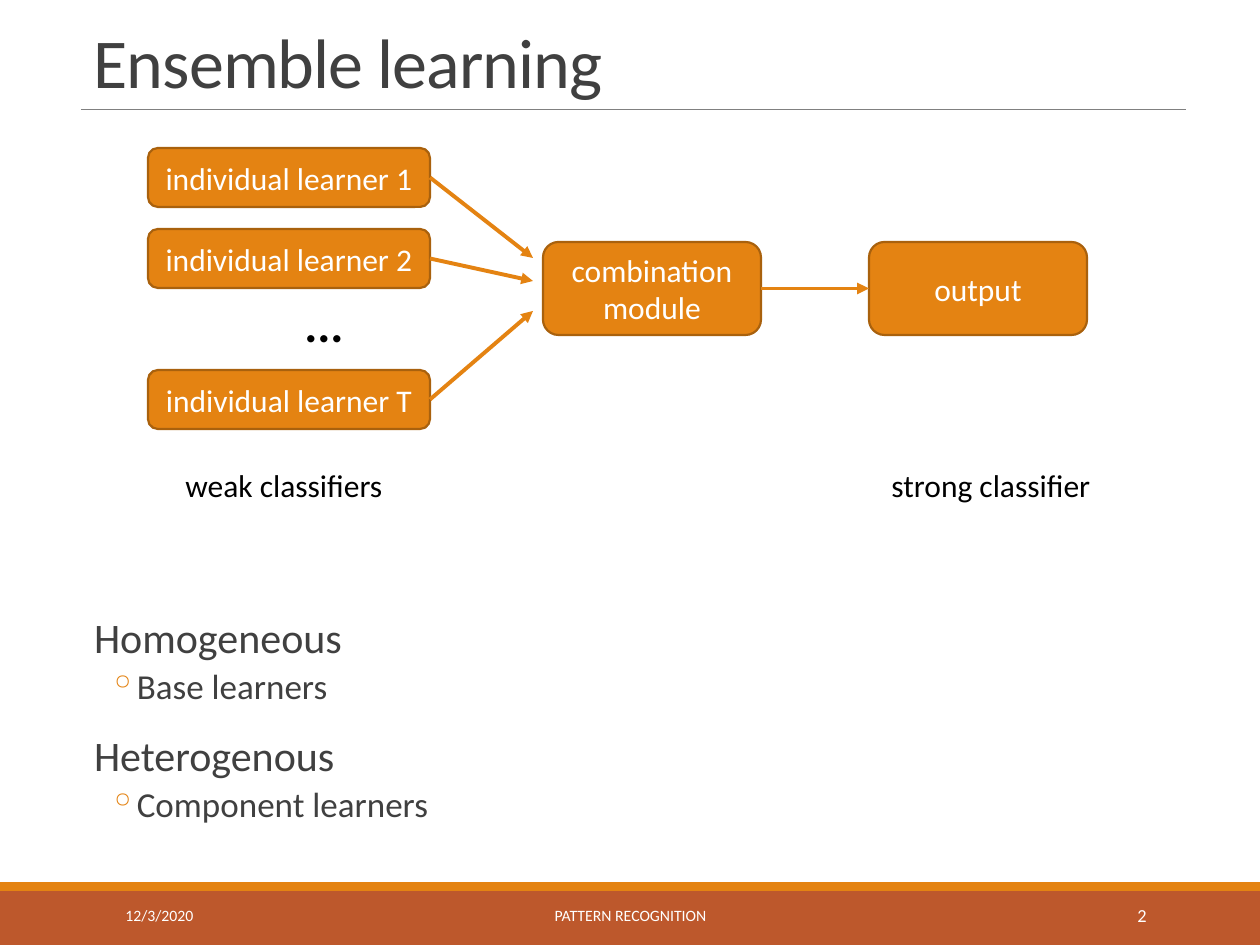
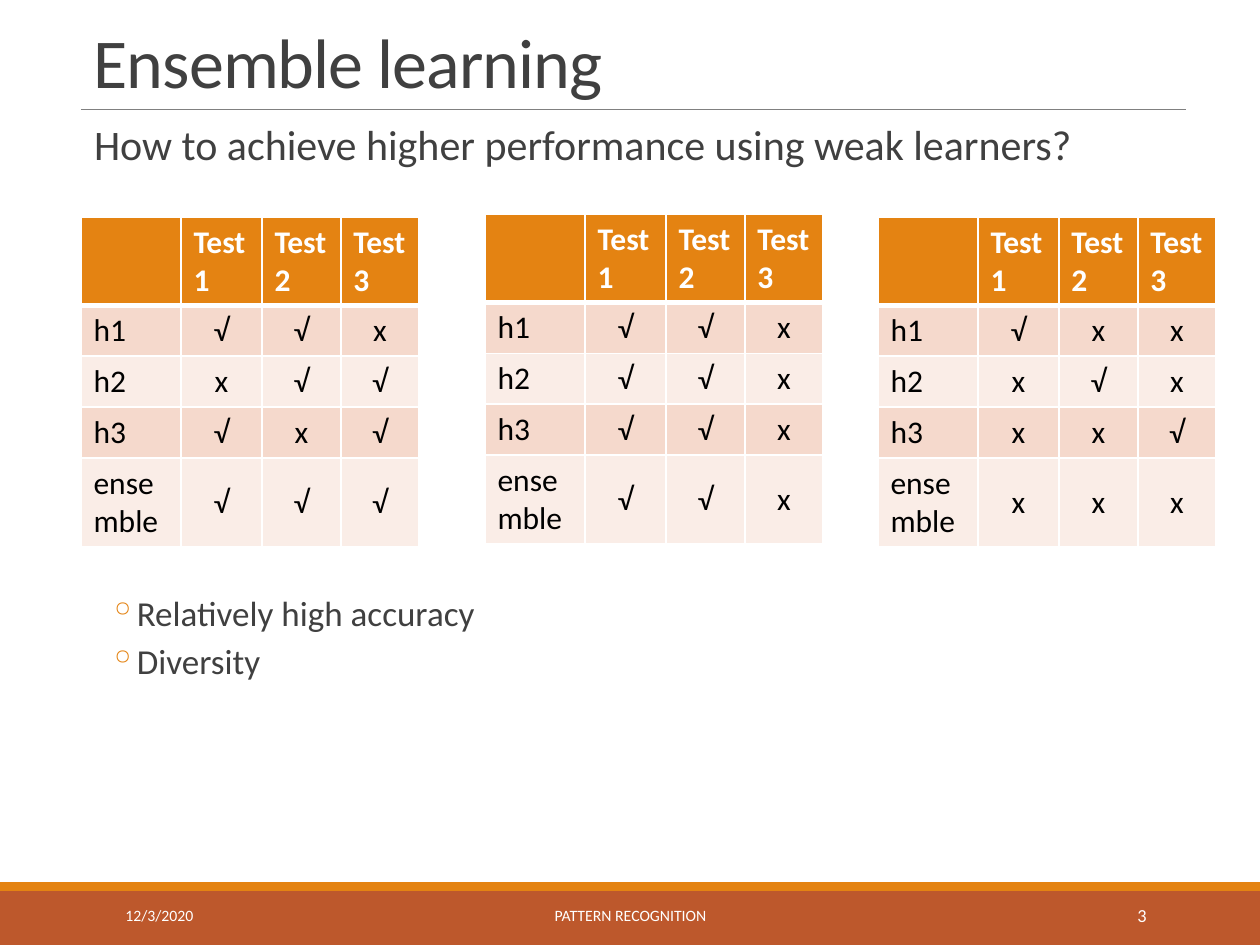
import pptx
import pptx.util
import pptx.dml.color
import pptx.enum.shapes
import pptx.enum.text
import pptx.oxml.ns
from lxml import etree

# Shared look
PIXELS_PER_INCH = 126
FONT = "Calibri"
ORANGE, RUST, DARK_ORANGE = "E48312", "BD582C", "A9610D"
INK, GRAY, BLACK, WHITE = "404040", "808080", "000000", "FFFFFF"
ROW_FILLS = ("F5D9CC", "FAEDE7")
ALIGN = pptx.enum.text.PP_ALIGN
ANCHOR = pptx.enum.text.MSO_ANCHOR
SHAPE = pptx.enum.shapes.MSO_SHAPE

TITLE = "Ensemble learning"
TITLE_BOX = (81, 16, 1105, 93)
TITLE_RULE = ((81, 109), (1186, 109))
BANDS = [((0, 890, 1260, 55), RUST), ((0, 882, 1260, 9), ORANGE)]
FOOTER_TOP, FOOTER_HEIGHT = 890, 50

# Outline levels: size, indent, hanging, space before, space after, bullet
LEVELS = [(24, 13, 0, 12, 2, None), (20, 53, 25, 2, 4, "◦")]
BODY_LEFT, BODY_WIDTH = 81, 1105

# Slide 2: flow from learners to output
LEARNERS = [("individual learner 1", 148, 258),  # text, top, arrow end
            ("individual learner 2", 229, 281),
            ("individual learner T", 370, 311)]
LEARNER_LEFT, LEARNER_WIDTH, LEARNER_HEIGHT = 148, 282, 59
ARROW_END = 533
STAGES = [("combination\nmodule", 543), ("output", 869)]
STAGE_TOP, STAGE_WIDTH, STAGE_HEIGHT = 242, 218, 93
CAPTIONS = [("weak classifiers", 173), ("strong classifier", 879)]
LEARNER_KINDS = [("Homogeneous", 0), ("Base learners", 1),
                 ("Heterogenous", 0), ("Component learners", 1)]

# Slide 3: outcome of each learner on each test
QUESTION = [("How to achieve higher performance using weak learners?", 0)]
REQUIREMENTS = [("Relatively high accuracy", 1), ("Diversity", 1)]
TESTS = ["", "Test 1", "Test 2", "Test 3"]
VOTERS = ["h1", "h2", "h3", "ensemble"]
OUTCOMES = [((81, 217), ["√√x", "x√√", "√x√", "√√√"]),
            ((485, 214), ["√√x", "√√x", "√√x", "√√x"]),
            ((878, 217), ["√xx", "x√x", "xx√", "xxx"])]
COLUMN_WIDTHS = [100, 81, 79, 78]
ROW_HEIGHTS = [88, 51, 51, 51, 88]


def px(length):
    return pptx.util.Emu(round(length * 914400 / PIXELS_PER_INCH))


def color(value):
    return pptx.dml.color.RGBColor.from_string(value)


def add_xml(parent, tag, **attributes):
    return etree.SubElement(parent, pptx.oxml.ns.qn(tag), attributes)


def write(frame, text, size=18, ink=BLACK, bold=False, align=ALIGN.LEFT,
          anchor=ANCHOR.TOP, line_spacing=None, tracking=None):
    """Fill a text frame, one paragraph for each line of text."""
    frame.word_wrap = True
    frame.vertical_anchor = anchor
    for index, line in enumerate(text.split("\n")):
        paragraph = frame.paragraphs[0] if index == 0 else frame.add_paragraph()
        paragraph.alignment = align
        paragraph.line_spacing = line_spacing
        add_run(paragraph, line, size, ink, bold, tracking)


def add_run(paragraph, text, size, ink, bold=False, tracking=None):
    run = paragraph.add_run()
    run.text = text
    run.font.name, run.font.size = FONT, pptx.util.Pt(size)
    run.font.bold = bold
    run.font.color.rgb = color(ink)
    if tracking:
        run.font._element.set("spc", str(tracking))


def add_text(slide, box, text, **text_format):
    write(slide.shapes.add_textbox(*map(px, box)).text_frame, text, **text_format)


def add_box(slide, kind, box, fill, line=None):
    shape = slide.shapes.add_shape(kind, *map(px, box))
    shape.shadow.inherit = False
    shape.fill.solid()
    shape.fill.fore_color.rgb = color(fill)
    if line:
        shape.line.color.rgb = color(line)
        shape.line.width = pptx.util.Pt(1.25)
    else:
        shape.line.fill.background()
    return shape


def add_node(slide, box, text):
    shape = add_box(slide, SHAPE.ROUNDED_RECTANGLE, box, ORANGE, DARK_ORANGE)
    write(shape.text_frame, text, ink=WHITE, align=ALIGN.CENTER, anchor=ANCHOR.MIDDLE)


def add_line(slide, start, end, ink, width, arrow=False):
    connector = slide.shapes.add_connector(
        pptx.enum.shapes.MSO_CONNECTOR.STRAIGHT, *map(px, (*start, *end)))
    connector.line.color.rgb = color(ink)
    connector.line.width = pptx.util.Pt(width)
    if arrow:
        add_xml(connector.line._get_or_add_ln(), "a:tailEnd", type="triangle")
    add_xml(connector._element.spPr, "a:effectLst")


def add_outline(slide, top, height, items):
    frame = slide.shapes.add_textbox(
        *map(px, (BODY_LEFT, top, BODY_WIDTH, height))).text_frame
    frame.word_wrap = True
    frame.margin_left = frame.margin_right = 0
    for index, (text, level) in enumerate(items):
        size, indent, hanging, before, after, bullet = LEVELS[level]
        paragraph = frame.add_paragraph() if index else frame.paragraphs[0]
        paragraph.level = level
        paragraph.line_spacing = 0.9
        paragraph.space_before = pptx.util.Pt(before if index else 0)
        paragraph.space_after = pptx.util.Pt(after)
        properties = paragraph._p.get_or_add_pPr()
        properties.set("marL", str(px(indent)))
        properties.set("indent", str(px(-hanging)))
        if bullet:
            add_xml(add_xml(properties, "a:buClr"), "a:srgbClr", val=ORANGE)
            add_xml(properties, "a:buChar", char=bullet)
        add_run(paragraph, text, size, INK)


def style_cell(cell, fill, top=1, bottom=1):
    properties = cell._tc.get_or_add_tcPr()
    for side, width in (("L", 1), ("R", 1), ("T", top), ("B", bottom)):
        border = add_xml(properties, f"a:ln{side}", w=str(pptx.util.Pt(width)))
        add_xml(add_xml(border, "a:solidFill"), "a:srgbClr", val=WHITE)
    cell.fill.solid()
    cell.fill.fore_color.rgb = color(fill)


def write_cell(cell, text, **text_format):
    anchor = text_format.pop("anchor", ANCHOR.TOP)
    if text:
        write(cell.text_frame, text, **text_format)
    cell.vertical_anchor = anchor


def add_outcome_table(slide, corner, marks):
    rows = [TESTS] + [[voter, *row] for voter, row in zip(VOTERS, marks)]
    box = (*corner, sum(COLUMN_WIDTHS), sum(ROW_HEIGHTS))
    table = slide.shapes.add_table(len(rows), len(TESTS), *map(px, box)).table
    for column, width in zip(table.columns, COLUMN_WIDTHS):
        column.width = px(width)
    for row, height in zip(table.rows, ROW_HEIGHTS):
        row.height = px(height)
    for row_index, values in enumerate(rows):
        for column_index, value in enumerate(values):
            cell = table.cell(row_index, column_index)
            if row_index == 0:
                style_cell(cell, ORANGE, bottom=3)
                write_cell(cell, value, ink=WHITE, bold=True)
                continue
            style_cell(cell, ROW_FILLS[(row_index - 1) % 2],
                       top=3 if row_index == 1 else 1)
            if column_index == 0:
                write_cell(cell, value)
            else:
                write_cell(cell, value, align=ALIGN.CENTER, anchor=ANCHOR.MIDDLE)


def add_slide(presentation, number):
    """Add a slide with the shared bands, title and footer."""
    slide = presentation.slides.add_slide(presentation.slide_layouts[5])
    for box, fill in BANDS:
        add_box(slide, SHAPE.RECTANGLE, box, fill)
    add_line(slide, *TITLE_RULE, GRAY, 0.5)
    title = slide.shapes.title
    title.left, title.top, title.width, title.height = map(px, TITLE_BOX)
    title.text_frame.auto_size = pptx.enum.text.MSO_AUTO_SIZE.NONE
    write(title.text_frame, TITLE, size=40, ink=INK, anchor=ANCHOR.BOTTOM,
          line_spacing=0.85, tracking=-50)
    footers = [("12/3/2020", 113, 256, 9, ALIGN.LEFT),
               ("PATTERN RECOGNITION", 381, 499, 9, ALIGN.CENTER),
               (str(number), 1023, 136, 10.5, ALIGN.RIGHT)]
    for text, left, width, size, align in footers:
        add_text(slide, (left, FOOTER_TOP, width, FOOTER_HEIGHT), text, size=size,
                 ink=WHITE, align=align, anchor=ANCHOR.MIDDLE)
    return slide


def build_flow_slide(presentation):
    slide = add_slide(presentation, 2)
    learner_right = LEARNER_LEFT + LEARNER_WIDTH
    for text, top, arrow_end in LEARNERS:
        add_node(slide, (LEARNER_LEFT, top, LEARNER_WIDTH, LEARNER_HEIGHT), text)
        add_line(slide, (learner_right, top + LEARNER_HEIGHT / 2),
                 (ARROW_END, arrow_end), ORANGE, 2.25, arrow=True)
    add_text(slide, (268, 287, 112, 72), "...", size=28, bold=True, align=ALIGN.CENTER)
    for text, left in STAGES:
        add_node(slide, (left, STAGE_TOP, STAGE_WIDTH, STAGE_HEIGHT), text)
    middle = STAGE_TOP + STAGE_HEIGHT / 2
    add_line(slide, (STAGES[0][1] + STAGE_WIDTH, middle), (STAGES[1][1], middle),
             ORANGE, 2.25, arrow=True)
    for text, left in CAPTIONS:
        add_text(slide, (left, 460, 236, 50), text)
    add_outline(slide, 611, 240, LEARNER_KINDS)


def build_outcome_slide(presentation):
    slide = add_slide(presentation, 3)
    add_outline(slide, 118, 60, QUESTION)
    for corner, marks in OUTCOMES:
        add_outcome_table(slide, corner, marks)
    add_outline(slide, 590, 110, REQUIREMENTS)


def main():
    presentation = pptx.Presentation()
    presentation.slide_width, presentation.slide_height = px(1260), px(945)
    build_flow_slide(presentation)
    build_outcome_slide(presentation)
    presentation.save("out.pptx")


if __name__ == "__main__":
    main()
